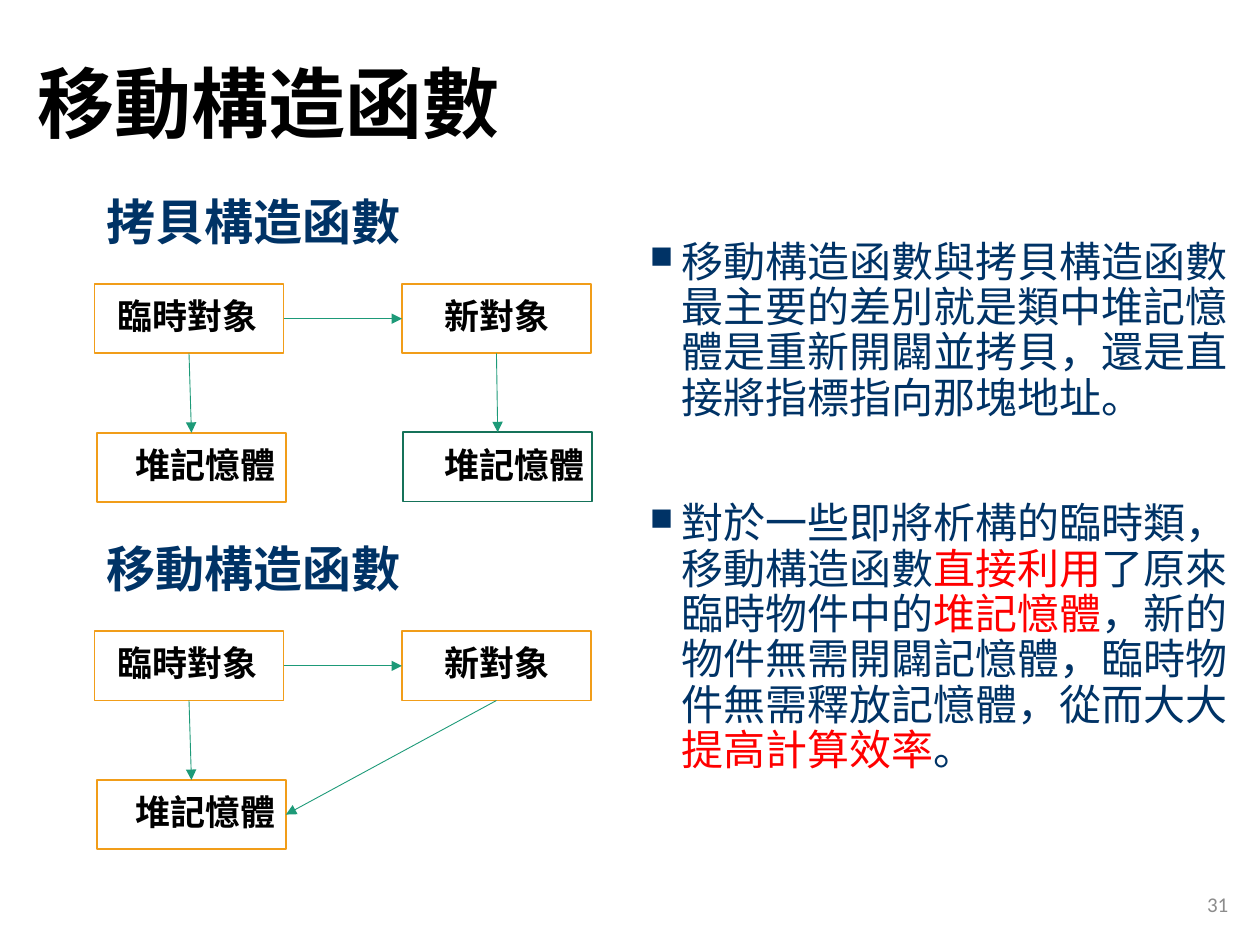
from lxml import etree
from pptx import Presentation
from pptx.dml.color import RGBColor
from pptx.enum import shapes, text
from pptx.oxml.ns import qn
from pptx.util import Pt

COLORS = {"black": "000000", "white": "FFFFFF", "navy": "003366", "red": "FF0000",
          "orange": "F19D19", "green": "157259", "arrow": "1D9A78", "gray": "8C8C8C"}
CJK = "Noto Sans CJK SC"
TOP, LEFT, BOTTOM, RIGHT = range(4)
NODE_WIDTH, NODE_HEIGHT = 108, 39.6

# name: (text, node left, node top, label left from node), within a diagram
NODES = {
    "temporary": ("臨時對象", 0, 56.5, 6),
    "heap": ("堆記憶體", 1.4, 141.5, 15),
    "new": ("新對象", 175.7, 56.5, 17),
    "new heap": ("堆記憶體", 176.4, 141.2, 16.5),
}
SHARED_LINKS = [("temporary", RIGHT, "new", LEFT), ("temporary", BOTTOM, "heap", TOP)]

BULLETS = [
    [("移動構造函數與拷貝構造函數最主要的差別就是類中堆記憶體是重新開闢並拷貝，"
      "還是直接將指標指向那塊地址。", "navy")],
    [("對於一些即將析構的臨時類，移動構造函數", "navy"), ("直接利用", "red"),
     ("了原來臨時物件中的", "navy"), ("堆記憶體", "red"),
     ("，新的物件無需開闢記憶體，臨時物件無需釋放記憶體，從而大大", "navy"),
     ("提高計算效率", "red"), ("。", "navy")],
]


def color(name):
    return RGBColor.from_string(COLORS[name])


def style_span(span, size, shade, bold=False, font=CJK):
    span.font.size, span.font.bold, span.font.name = Pt(size), bold, font
    span.font.color.rgb = color(shade)
    etree.SubElement(span.font._element, qn("a:ea"), typeface=font)


def add_text_box(page, left, top, width, height):
    box = page.shapes.add_textbox(Pt(left), Pt(top), Pt(width), Pt(height))
    box.text_frame.word_wrap = True
    return box


def add_line_of_text(page, area, words, size, shade, bold=True, font=CJK):
    box = add_text_box(page, *area)
    box.text_frame.text = words
    para = box.text_frame.paragraphs[0]
    style_span(para.runs[0], size, shade, bold, font)
    return box.text_frame, para


def add_title(page, left, top, width, height):
    frame, para = add_line_of_text(page, (left, top, width, height),
                                   "移動構造函數", 44, "black")
    frame.vertical_anchor = text.MSO_ANCHOR.MIDDLE
    para.line_spacing = 0.9


def add_page_number(page, left, top, width, height):
    frame, para = add_line_of_text(page, (left, top, width, height), "31", 12,
                                   "gray", bold=False, font="Calibri")
    frame.vertical_anchor = text.MSO_ANCHOR.MIDDLE
    para.alignment = text.PP_ALIGN.RIGHT


def add_node(page, left, top, words, label_left, outline):
    node = page.shapes.add_shape(shapes.MSO_SHAPE.RECTANGLE, Pt(left), Pt(top),
                                 Pt(NODE_WIDTH), Pt(NODE_HEIGHT))
    node.shadow.inherit = False
    node.fill.solid()
    node.fill.fore_color.rgb = color("white")
    node.line.color.rgb = color(outline)
    node.line.width = Pt(1)
    add_line_of_text(page, (left + label_left, top + 2.6, 147.6, 31.5), words, 20, "black")
    return node


def add_arrow(page, start, start_side, end, end_side):
    arrow = page.shapes.add_connector(shapes.MSO_CONNECTOR.STRAIGHT, 0, 0, 0, 0)
    arrow.begin_connect(start, start_side)
    arrow.end_connect(end, end_side)
    arrow.line.color.rgb = color("arrow")
    arrow.line.width = Pt(0.5)
    etree.SubElement(arrow.line._get_or_add_ln(), qn("a:tailEnd"), type="triangle")
    etree.SubElement(arrow._element.spPr, qn("a:effectLst"))


def add_diagram(page, left, top, heading, names, last_link):
    """Heading over linked nodes; last_link says where the new object points."""
    add_line_of_text(page, (left, top, 203, 41), heading, 28, "navy")
    nodes = {}
    for name in names:
        words, across, down, label_left = NODES[name]
        outline = "green" if name == "new heap" else "orange"
        nodes[name] = add_node(page, left + across, top + down, words, label_left, outline)
    for start, start_side, end, end_side in SHARED_LINKS + [last_link]:
        add_arrow(page, nodes[start], start_side, nodes[end], end_side)


def add_bullets(page, left, top, width, height):
    frame = add_text_box(page, left, top, width, height).text_frame
    for index, parts in enumerate(BULLETS):
        para = frame.add_paragraph() if index else frame.paragraphs[0]
        para.line_spacing = 0.9
        para.space_before = Pt(46 if index else 0)
        props = para._p.get_or_add_pPr()
        props.set("marL", str(Pt(18)))
        props.set("indent", str(Pt(-18)))
        etree.SubElement(props, qn("a:buSzPct"), val="75000")
        etree.SubElement(props, qn("a:buChar"), char="■")
        for words, shade in parts:
            span = para.add_run()
            span.text = words
            style_span(span, 24, shade)


def main():
    deck = Presentation()
    deck.slide_width, deck.slide_height = Pt(720), Pt(540)
    page = deck.slides.add_slide(deck.slide_layouts[6])
    add_page_number(page, 547, 502, 162, 28.8)
    add_title(page, 14.4, 9.4, 620.6, 104.4)
    add_diagram(page, 54, 105.8, "拷貝構造函數", list(NODES),
                ("new", BOTTOM, "new heap", TOP))
    add_diagram(page, 54, 304.2, "移動構造函數", ["temporary", "heap", "new"],
                ("new", BOTTOM, "heap", RIGHT))
    add_bullets(page, 364.3, 134, 344.9, 306)
    deck.save("out.pptx")


if __name__ == "__main__":
    main()
